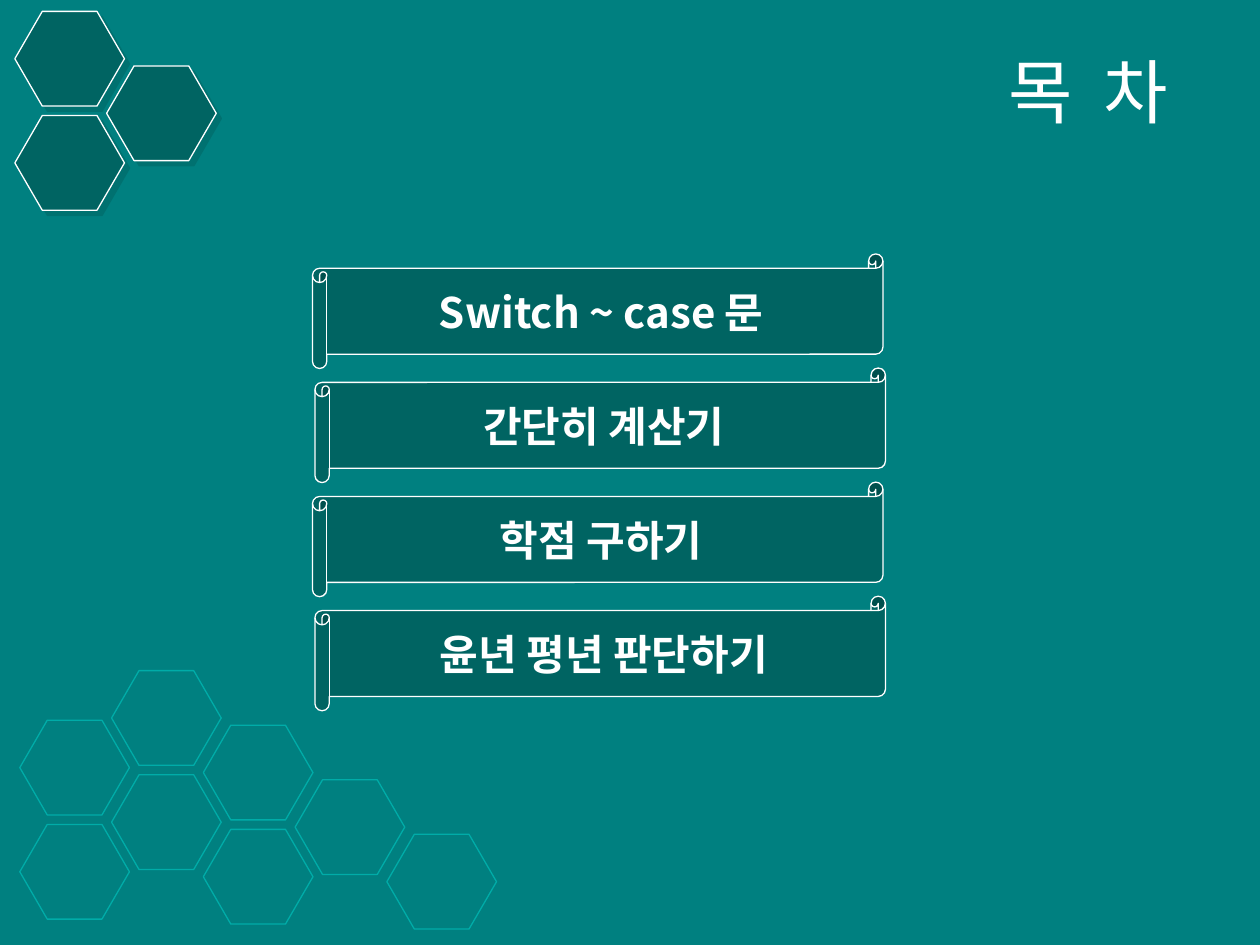
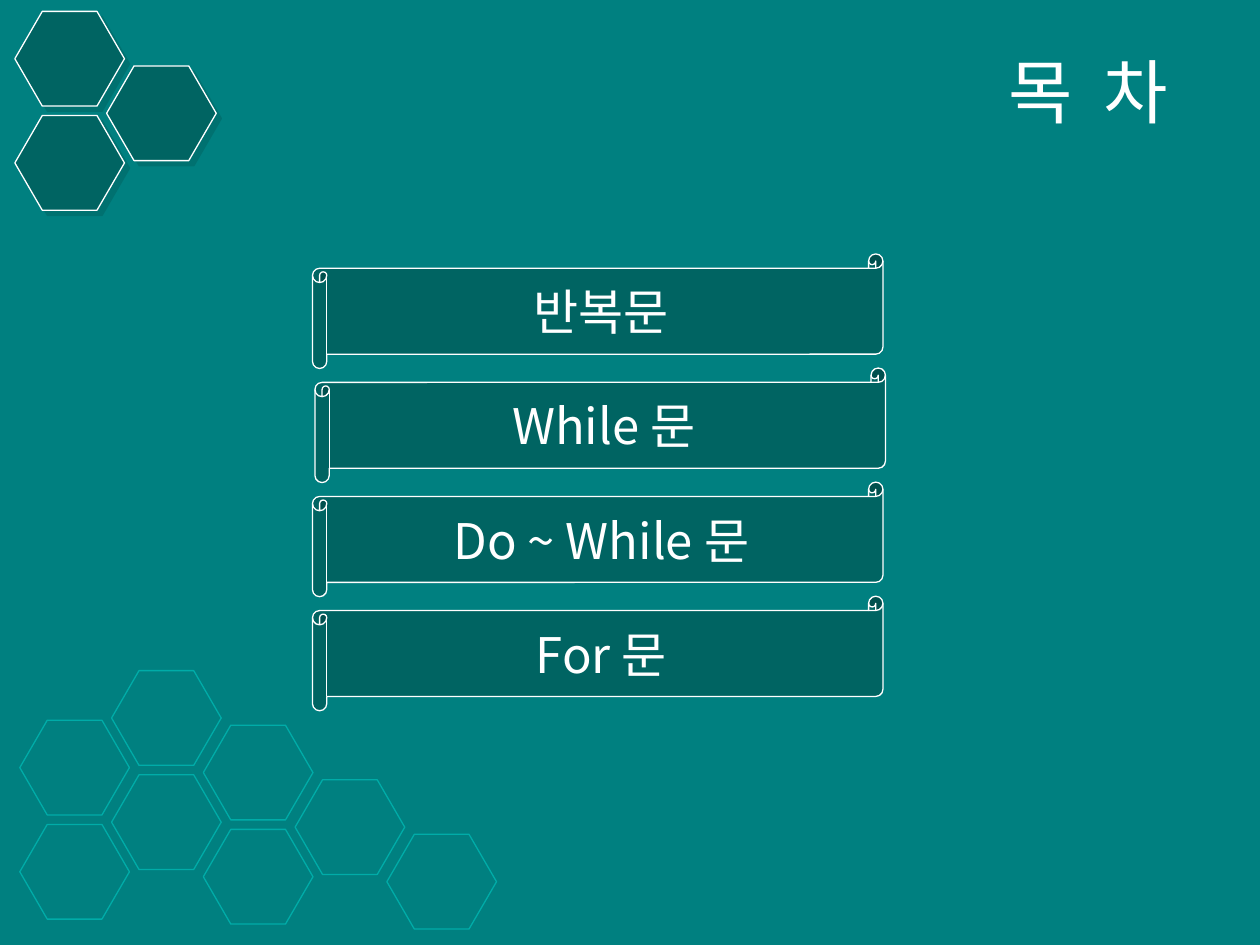
"""Builds two contents slides with honeycomb corners and scroll-shaped entries."""
import lxml.etree
import pptx
import pptx.dml.color
import pptx.enum.shapes
import pptx.enum.text
import pptx.oxml.ns
import pptx.util

Cm = pptx.util.Cm
Pt = pptx.util.Pt
RGBColor = pptx.dml.color.RGBColor
MSO_SHAPE = pptx.enum.shapes.MSO_SHAPE
PP_ALIGN = pptx.enum.text.PP_ALIGN
MSO_ANCHOR = pptx.enum.text.MSO_ANCHOR
qn = pptx.oxml.ns.qn

TEAL = RGBColor(0x00, 0x80, 0x80)
DARK_TEAL = RGBColor(0x00, 0x64, 0x62)
BRIGHT_TEAL = RGBColor(0x00, 0xAC, 0xA8)
WHITE = RGBColor(0xFF, 0xFF, 0xFF)
LATIN_FONT = "Arial"
KOREAN_FONT = "Noto Sans CJK KR"

COLUMN_PITCH = 1.85
CELL_PITCH = 2.1
ENTRY_PITCH = 2.3
LEFT = 6.3
INDENTED = 6.35

OUTLINE_COLUMNS = [(14.52, 2), (13.52, 2), (14.62, 2), (15.72, 1), (16.82, 1)]
FILLED_COLUMNS = [(0.23, 2), (1.33, 1)]

CONTENTS = [
    (24, True, [
        ("Switch ~ case 문", LEFT),
        ("간단히 계산기", INDENTED),
        ("학점 구하기", LEFT),
        ("윤년 평년 판단하기", INDENTED),
    ]),
    (28, False, [
        ("반복문", LEFT),
        ("While 문", INDENTED),
        ("Do ~ While 문", LEFT),
        ("For 문", LEFT),
    ]),
]


class Deck:
    """Holds the presentation style and the current slide."""

    def __init__(self):
        self.prs = pptx.Presentation()
        self.prs.slide_width = Cm(25.4)
        self.prs.slide_height = Cm(19.05)
        self.layout = self.prs.slide_layouts[5]
        background = self.prs.slide_master.background.fill
        background.solid()
        background.fore_color.rgb = TEAL
        self.slide = None

    def new_slide(self):
        self.slide = self.prs.slides.add_slide(self.layout)

    def shape(self, preset, left, top, width, height, line, fill=None):
        shape = self.slide.shapes.add_shape(
            preset, Cm(left), Cm(top), Cm(width), Cm(height))
        shape.shadow.inherit = False
        shape.line.color.rgb = line
        shape.line.width = Pt(0.75)
        if fill is None:
            shape.fill.background()
        else:
            shape.fill.solid()
            shape.fill.fore_color.rgb = fill
        return shape

    def cast_shadow(self, shape):
        effects = shape.element.spPr.find(qn("a:effectLst"))
        shadow = lxml.etree.SubElement(
            effects, qn("a:outerShdw"), dist="53340", dir="2700000",
            algn="ctr", rotWithShape="0")
        color = lxml.etree.SubElement(
            shadow, qn("a:srgbClr"), val=str(DARK_TEAL))
        lxml.etree.SubElement(color, qn("a:alpha"), val="50000")

    def honeycomb(self, left, columns, line, fill=None):
        for column, (top, count) in enumerate(columns):
            for row in range(count):
                cell = self.shape(
                    MSO_SHAPE.HEXAGON, left + column * COLUMN_PITCH,
                    top + row * CELL_PITCH, 2.21, 1.91, line, fill)
                cell.adjustments[0] = 0.29
                if fill is not None:
                    self.cast_shadow(cell)
                self.layout.shapes.element.append(cell.element)

    def words(self, frame, text, size, font, align, bold=False):
        frame.word_wrap = True
        frame.vertical_anchor = MSO_ANCHOR.MIDDLE
        paragraph = frame.paragraphs[0]
        paragraph.alignment = align
        run = paragraph.add_run()
        run.text = text
        run.font.size = Pt(size)
        run.font.bold = bold
        run.font.color.rgb = WHITE
        run.font.name = font
        lxml.etree.SubElement(
            run._r.get_or_add_rPr(), qn("a:ea"), typeface=KOREAN_FONT)

    def title(self, text):
        title = self.slide.shapes.title
        title.left, title.top = Cm(4.7), Cm(0.71)
        title.width, title.height = Cm(19.1), Cm(2.21)
        self.words(title.text_frame, text, 40, LATIN_FONT, PP_ALIGN.RIGHT)

    def entry(self, text, left, position, size, bold):
        scroll = self.shape(
            MSO_SHAPE.HORIZONTAL_SCROLL, left, 5.12 + position * ENTRY_PITCH,
            11.5, 2.31, WHITE, DARK_TEAL)
        self.words(scroll.text_frame, text, size, KOREAN_FONT,
                   PP_ALIGN.CENTER, bold)


def main():
    deck = Deck()
    for number, (size, bold, entries) in enumerate(CONTENTS):
        deck.new_slide()
        if number == 0:
            deck.honeycomb(0.4, OUTLINE_COLUMNS, BRIGHT_TEAL)
            deck.honeycomb(0.3, FILLED_COLUMNS, WHITE, DARK_TEAL)
        deck.title("목  차")
        for position, (text, left) in enumerate(entries):
            deck.entry(text, left, position, size, bold)
    deck.prs.save("out.pptx")


if __name__ == "__main__":
    main()
